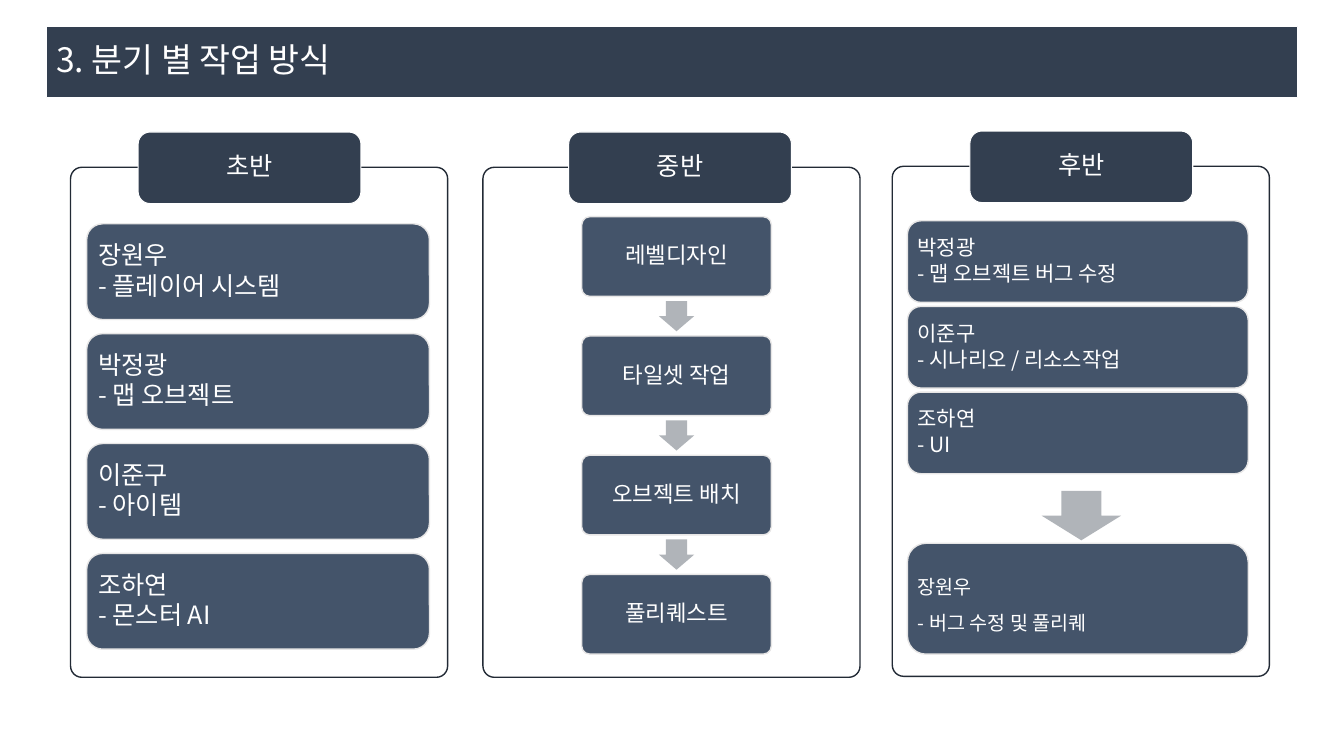
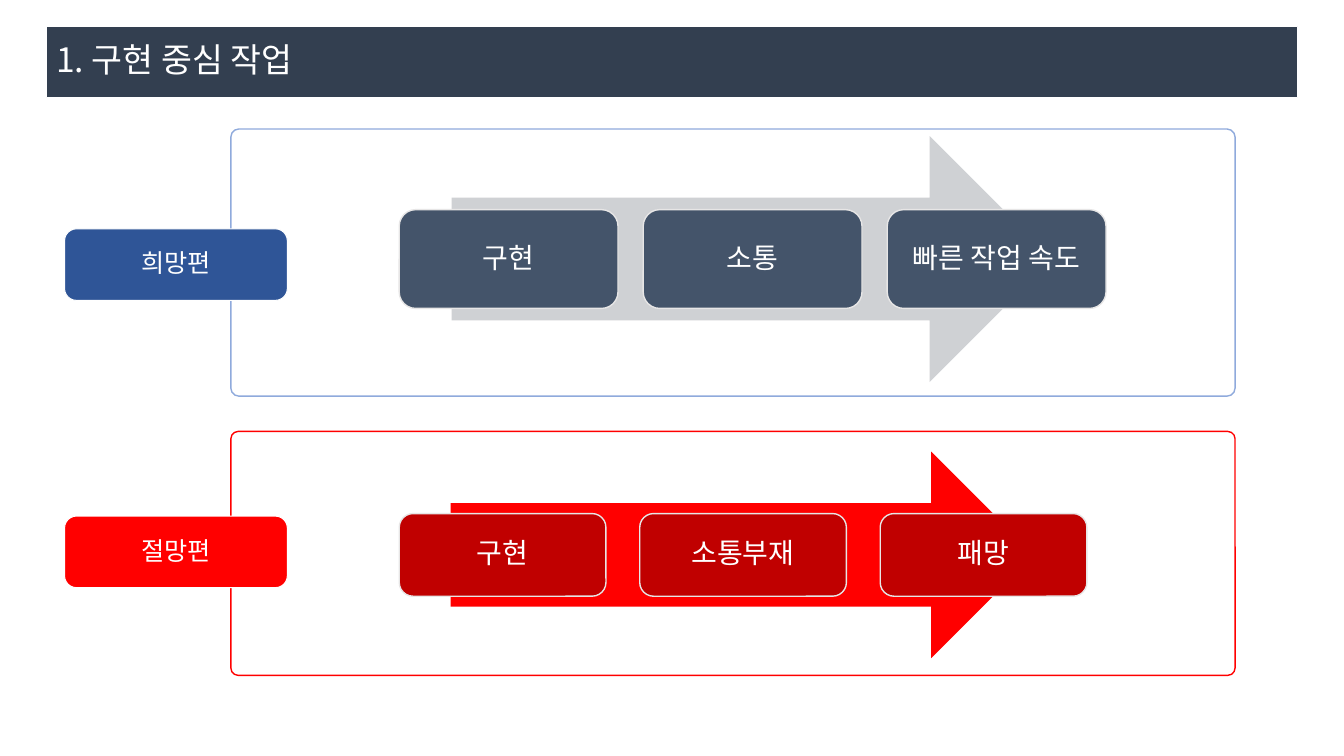
from lxml import etree
from pptx import Presentation
from pptx.dml.color import RGBColor
from pptx.enum.shapes import MSO_SHAPE
from pptx.enum.text import MSO_ANCHOR, PP_ALIGN
from pptx.oxml.ns import qn
from pptx.util import Inches, Pt

RECT, ROUND = MSO_SHAPE.RECTANGLE, MSO_SHAPE.ROUNDED_RECTANGLE
DOWN, RIGHT = MSO_SHAPE.DOWN_ARROW, MSO_SHAPE.RIGHT_ARROW
LEFT, CENTER = PP_ALIGN.LEFT, PP_ALIGN.CENTER
MIDDLE = MSO_ANCHOR.MIDDLE

FONT = "Noto Sans CJK KR"
COLORS = {
    "white": "FFFFFF", "navy": "333F50", "ink": "222A35", "slate": "44546A",
    "edge": "E7E6E6", "gray": "B0B4B9", "pale": "CFD1D4", "blue": "2F5597",
    "sky": "8FAADC", "red": "FF0000", "dark": "C00000",
}

# Heading, panel left, panel top, heading left
PHASES = [
    ("초반", 0.7, 1.66, 1.37),
    ("중반", 4.79, 1.66, 5.64),
    ("후반", 8.85, 1.65, 9.62),
]
EARLY = [
    ["장원우", "- 플레이어 시스템"],
    ["박정광", "- 맵 오브젝트"],
    ["이준구", "- 아이템"],
    ["조하연", "- 몬스터 AI"],
]
STEPS = ["레벨디자인", "타일셋 작업", "오브젝트 배치", "풀리퀘스트"]
LATE = [
    ["박정광", "- 맵 오브젝트 버그 수정"],
    ["이준구", "- 시나리오 / 리소스작업"],
    ["조하연", "- UI"],
]
FINAL = ["장원우", "- 버그 수정 및 풀리퀘"]

CASES = [
    {"name": "희망편", "steps": ["구현", "소통", "빠른 작업 속도"],
     "panel": (2.29, 1.28, 9.96, 2.65), "tag": 2.27,
     "arrow": (4.48, 1.35, 5.96, 2.44), "card": (2.17, 0.98), "pitch": 2.42,
     "colors": ("sky", "blue", "pale", "slate")},
    {"name": "절망편", "steps": ["구현", "소통부재", "패망"],
     "panel": (2.29, 4.28, 9.96, 2.42), "tag": 5.12,
     "arrow": (4.47, 4.48, 5.79, 2.05), "card": (2.05, 0.82), "pitch": 2.385,
     "colors": ("red", "red", "red", "dark")},
]


def rgb(name):
    return RGBColor.from_string(COLORS[name])


def add_box(slide, kind, box, fill=None, line=None, width=1, adj=()):
    shape = slide.shapes.add_shape(kind, *map(Inches, box))
    shape.shadow.inherit = False
    if fill:
        shape.fill.solid()
        shape.fill.fore_color.rgb = rgb(fill)
    else:
        shape.fill.background()
    if line:
        shape.line.color.rgb = rgb(line)
        shape.line.width = Pt(width)
    else:
        shape.line.fill.background()
    for i, value in enumerate(adj):
        shape.adjustments[i] = value
    return shape


def write(shape, lines, size, align=CENTER, inset=None, space=0.9, after=0):
    frame = shape.text_frame
    frame.word_wrap = True
    frame.vertical_anchor = MIDDLE
    if inset is not None:
        frame.margin_left = frame.margin_right = Inches(inset)
        frame.margin_top = frame.margin_bottom = Inches(inset)
    frame.text = "\n".join(lines)
    for para in frame.paragraphs:
        para.alignment = align
        para.line_spacing = space
        para.space_after = Pt(after)
        font = para.font
        font.size = Pt(size)
        font.color.rgb = rgb("white")
        font.name = FONT
        # Korean glyphs take the East Asian face
        props = para._p.pPr.find(qn("a:defRPr"))
        etree.SubElement(props, qn("a:ea")).set("typeface", FONT)


def add_card(slide, box, lines, size, fill="slate", adj=(), **style):
    card = add_box(slide, ROUND, box, fill, "edge", adj=adj)
    write(card, lines, size, **style)


def add_panel(slide, box, line):
    add_box(slide, ROUND, box, line=line, adj=[0.03])


def add_tag(slide, left, top, text, fill="navy"):
    tag = add_box(slide, ROUND, (left, top, 2.21, 0.71), fill, "white", 0.75)
    write(tag, [text], 18)


def new_slide(deck, title):
    slide = deck.slides.add_slide(deck.slide_layouts[6])
    band = add_box(slide, RECT, (0.46, 0.26, 12.41, 0.71),
                   "navy", "white", 0.75)
    write(band, [title], 24, LEFT)
    return slide


def add_phases(deck):
    slide = new_slide(deck, "3. 분기 별 작업 방식")
    for name, left, top, head in PHASES:
        add_panel(slide, (left, top, 3.74, 5.06), "ink")
        add_tag(slide, head, top - 0.35, name)

    for i, lines in enumerate(EARLY):
        add_card(slide, (0.86, 2.22 + i * 1.09, 3.4, 0.95), lines, 18,
                 align=LEFT, inset=0.07, after=2.3)

    left, wide, high, pitch = 5.77, 1.88, 0.79, 1.183
    head, tall = 0.35, 0.3
    for i, step in enumerate(STEPS):
        top = 2.15 + i * pitch
        if i:
            gap = pitch - high
            add_box(slide, DOWN, (left + (wide - head) / 2,
                                  top - (gap + tall) / 2, head, tall),
                    "gray", adj=[0.6, 0.5])
        add_card(slide, (left, top, wide, high), [step], 16,
                 adj=[0.1], inset=0.07, after=2.3)

    for i, lines in enumerate(LATE):
        add_card(slide, (9, 2.19 + i * 0.85, 3.38, 0.81), lines, 15,
                 align=LEFT, inset=0.06, after=2.3)
    add_box(slide, DOWN, (10.33, 4.87, 0.79, 0.49), "gray")
    add_card(slide, (9, 5.39, 3.38, 1.1), FINAL, 14,
             align=LEFT, inset=0.05, space=1.5)


def add_cases(deck):
    slide = new_slide(deck, "1. 구현 중심 작업")
    for case in CASES:
        edge, tag, arrow, fill = case["colors"]
        add_panel(slide, case["panel"], edge)
        add_tag(slide, 0.64, case["tag"], case["name"], tag)
        add_box(slide, RIGHT, case["arrow"], arrow)
        wide, high = case["card"]
        top = case["arrow"][1] + (case["arrow"][3] - high) / 2
        for i, step in enumerate(case["steps"]):
            add_card(slide, (3.96 + i * case["pitch"], top, wide, high),
                     [step], 20, fill, inset=0.08, after=2.3)


def main():
    deck = Presentation()
    deck.slide_width, deck.slide_height = Inches(13.33), Inches(7.5)
    add_phases(deck)
    add_cases(deck)
    deck.save("out.pptx")


if __name__ == "__main__":
    main()
